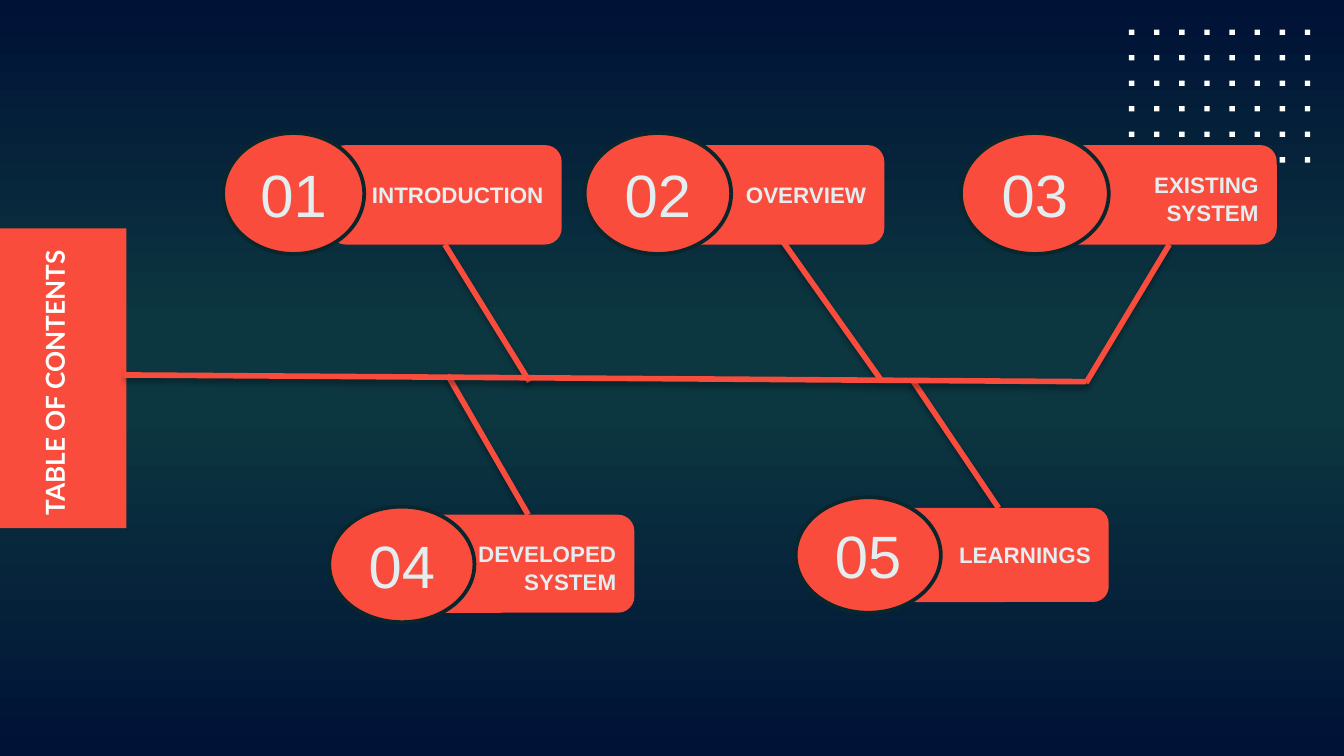
from copy import deepcopy

from lxml.etree import SubElement
from pptx import Presentation
from pptx.dml.color import RGBColor
from pptx.enum.shapes import MSO_CONNECTOR, MSO_SHAPE
from pptx.enum.text import MSO_ANCHOR, PP_ALIGN
from pptx.oxml.ns import qn
from pptx.util import Inches, Pt

# Grid: 100 columns by 56.25 rows of square cells
COLUMNS, ROWS, CELL = 100, 56.25, 0.1

CORAL, WHITE, PALE, RIM = "F94C3C", "FFFFFF", "E4EDEF", "09262D"
BACKDROP = [(0, "001236"), (0.46, "0C3640"), (0.57, "0C3640"), (1, "001236")]

# Each topic: number, words, card (left, top, width, height), badge (same)
TOPICS = [
    ("01", ["INTRODUCTION"], (24.5, 10.8, 17.3, 7.4), (16.6, 9.9, 10.5, 9)),
    ("03", ["EXISTING", "SYSTEM"], (78.9, 10.8, 16.1, 7.4), (71.5, 9.9, 11, 9)),
    ("05", ["LEARNINGS"], (66.2, 37.8, 16.3, 7), (59.2, 37, 10.8, 8.6)),
    ("04", ["DEVELOPED", "SYSTEM"], (31.4, 38.3, 15.8, 7.3), (24.5, 37.7, 10.8, 8.6)),
    ("02", ["OVERVIEW"], (50.6, 10.8, 15.2, 7.4), (43.5, 9.9, 10.9, 9)),
]
BRANCHES = [
    ((65.5, 28.2), (58.2, 17.9)),
    ((39.4, 28.4), (33.1, 18.2)),
    ((39.3, 38.3), (33.3, 27.9)),
    ((74.3, 37.8), (67.9, 28.3)),
    ((80.8, 28.5), (87, 18.2)),
]
SPINE = ((9.2, 27.9), (80.8, 28.4))


def color(value):
    return RGBColor.from_string(value)


def cells(*counts):
    return [Inches(count * CELL) for count in counts]


class Diagram:
    def __init__(self, page):
        self.page = page

    def backdrop(self, stops):
        fill = self.page.background.fill
        fill.gradient()
        fill.gradient_angle = 90
        stop_list = self.page.element.find(".//" + qn("a:gsLst"))
        while len(stop_list) < len(stops):
            stop_list.append(deepcopy(stop_list[0]))
        for stop, (position, value) in zip(fill.gradient_stops, stops):
            stop.position = position
            stop.color.rgb = color(value)

    def style(self, span, size, value, bold=False, font="Arial"):
        span.font.size = Pt(size)
        span.font.name = font
        span.font.bold = bold
        span.font.color.rgb = color(value)

    def title(self, text, area):
        box = self.page.shapes.title
        box.left, box.top, box.width, box.height = cells(*area)
        box.rotation = 270
        frame = box.text_frame
        frame.text = text
        frame.vertical_anchor = MSO_ANCHOR.MIDDLE
        para = frame.paragraphs[0]
        para.alignment = PP_ALIGN.CENTER
        self.style(para.runs[0], 14, WHITE, True, "Lato")

    def shape(self, kind, area, fill=CORAL, rim=None):
        box = self.page.shapes.add_shape(kind, *cells(*area))
        box.shadow.inherit = False
        box.fill.solid()
        box.fill.fore_color.rgb = color(fill)
        if rim:
            box.line.color.rgb = color(rim)
            box.line.width = Pt(2)
        else:
            box.line.fill.background()
        return box

    def card(self, words, area):
        box = self.shape(MSO_SHAPE.ROUNDED_RECTANGLE, area)
        para = box.text_frame.paragraphs[0]
        para.alignment = PP_ALIGN.RIGHT
        for index, word in enumerate(words):
            if index:
                gap = para.add_run()
                gap.text = " "
                self.style(gap, 16, PALE)
            span = para.add_run()
            span.text = word
            self.style(span, 12, PALE, True)

    def badge(self, number, area):
        box = self.shape(MSO_SHAPE.OVAL, area, rim=RIM)
        box.text_frame.text = number
        para = box.text_frame.paragraphs[0]
        para.alignment = PP_ALIGN.CENTER
        self.style(para.runs[0], 32, PALE)

    def line(self, start, end):
        line = self.page.shapes.add_connector(
            MSO_CONNECTOR.STRAIGHT, *cells(*start, *end))
        line.line.color.rgb = color(CORAL)
        line.line.width = Pt(3)
        # Soft shadow straight below the line
        effects = SubElement(line.element.spPr, qn("a:effectLst"))
        shadow = SubElement(effects, qn("a:outerShdw"), blurRad=str(Pt(3.1)),
                            dist=str(Pt(1.8)), dir="5400000", rotWithShape="0")
        black = SubElement(shadow, qn("a:srgbClr"), val="000000")
        SubElement(black, qn("a:alpha"), val="35000")

    def dots(self, left, top, pitch_x, pitch_y):
        for row in range(6):
            # The bottom row keeps only its last two dots
            for column in range(6 if row == 5 else 0, 8):
                self.shape(MSO_SHAPE.RECTANGLE, (
                    left + column * pitch_x, top + row * pitch_y, 0.4, 0.4), WHITE)


def main():
    deck = Presentation()
    deck.slide_width, deck.slide_height = cells(COLUMNS, ROWS)
    diagram = Diagram(deck.slides.add_slide(deck.slide_layouts[5]))

    # Backdrop, side panel and dot pattern
    diagram.backdrop(BACKDROP)
    diagram.shape(MSO_SHAPE.RECTANGLE, (0, 17, 9.4, 22.3))
    diagram.dots(84, 2.2, 1.87, 1.9)

    # Title, raised above the side panel
    diagram.title("TABLE OF CONTENTS", (-17.9, 24.5, 43.9, 8))
    title = diagram.page.shapes.title.element
    title.getparent().append(title)

    # Branches, topics and the spine that joins them
    for start, end in BRANCHES:
        diagram.line(start, end)
    for number, words, card, badge in TOPICS:
        diagram.card(words, card)
        diagram.badge(number, badge)
    diagram.line(*SPINE)

    deck.save("out.pptx")


if __name__ == "__main__":
    main()
